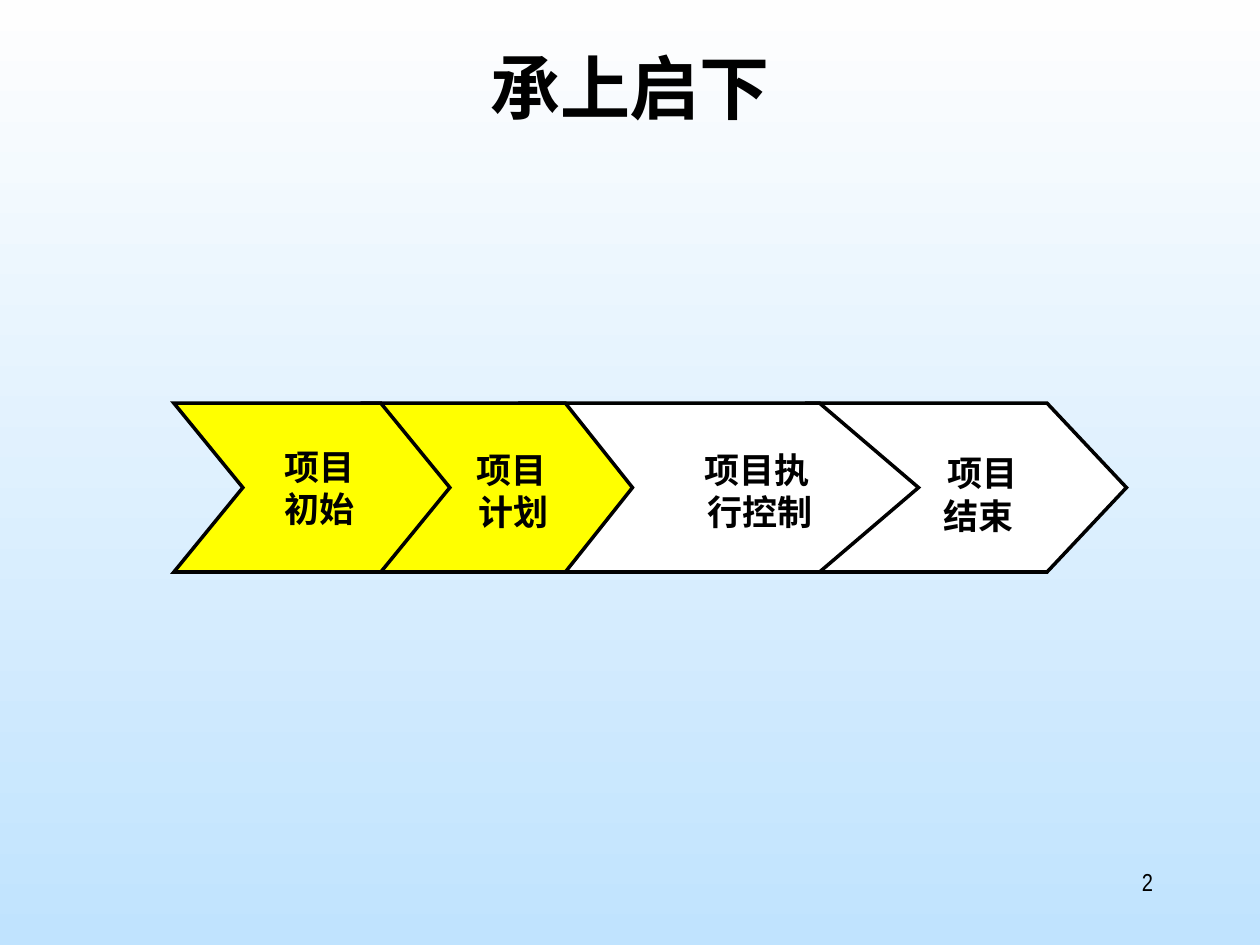
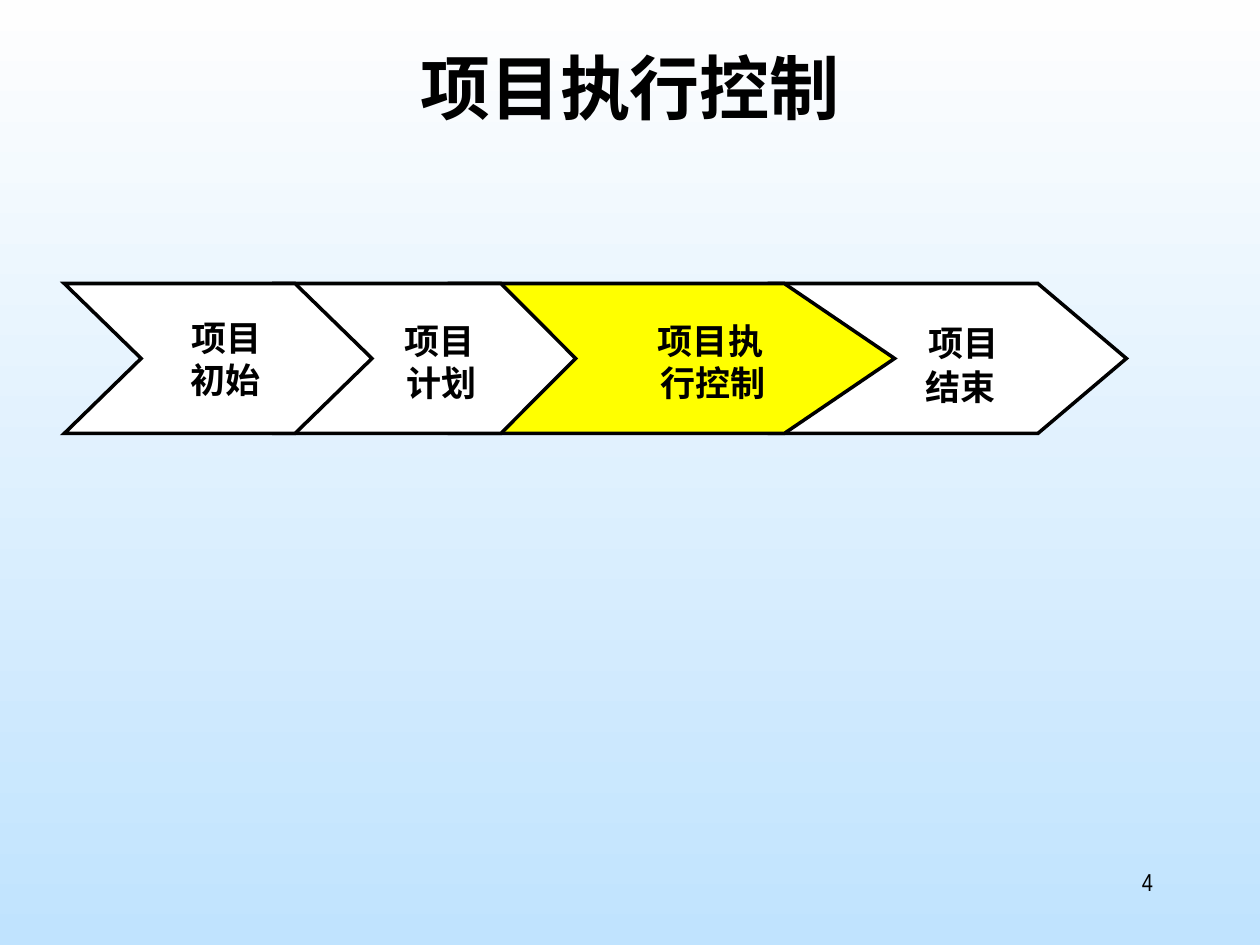
from lxml.etree import SubElement
from pptx import Presentation
from pptx.dml.color import RGBColor
from pptx.enum.shapes import MSO_SHAPE
from pptx.enum.text import MSO_ANCHOR, MSO_AUTO_SIZE, PP_ALIGN
from pptx.oxml.ns import qn
from pptx.util import Inches, Pt

BLACK, WHITE, YELLOW = "000000", "FFFFFF", "FFFF00"
SKY = ("FEFEFE", "C0E3FE")
BODY_FONT = "Arial Narrow"
CHAIN_LEFT, CHAIN_RIGHT = 1.38, 8.94
POINT_RATIO = 0.25

# name, left, width, lines with indent, extra top inset, gap before second line
STAGES = [
    ("初始", 1.38, 2.19, [("项目", 0.13), ("初始", 0.12)], 0, 0),
    ("计划", 2.89, 2.13, [("项目", 0.21), ("计划", 0.24)], 0.05, 0),
    ("执行控制", 4.15, 3.14, [("项目执", 0.58), ("行控制", 0.62)], 0.05, 0),
    ("结束", 6.42, 2.52, [("项目", 0.23), ("结束", 0.18)], 0.1, 1),
]


def color(value):
    return RGBColor.from_string(value)


class Deck:
    def __init__(self):
        self.presentation = Presentation()
        self.presentation.slide_width = Inches(10)
        self.presentation.slide_height = Inches(7.5)
        self.slide = None
        sky = self.presentation.slide_master.background.fill
        sky.gradient()
        sky.gradient_angle = 270
        for stop, shade in zip(sky.gradient_stops, SKY):
            stop.color.rgb = color(shade)

    def style(self, paragraph, size, bold=False, align=PP_ALIGN.CENTER, name=BODY_FONT):
        paragraph.alignment = align
        font = paragraph.font
        font.name, font.size, font.bold = name, Pt(size), bold
        font.color.rgb = color(BLACK)
        SubElement(font._element, qn("a:ea")).set("typeface", BODY_FONT)

    def add_slide(self, heading, number, heading_font=BODY_FONT):
        self.slide = self.presentation.slides.add_slide(self.presentation.slide_layouts[5])
        title = self.slide.shapes.title
        title.left, title.top = Inches(0.5), Inches(0.3)
        title.width, title.height = Inches(9), Inches(1.25)
        title.text = heading
        title.text_frame.auto_size = MSO_AUTO_SIZE.NONE
        title.text_frame.vertical_anchor = MSO_ANCHOR.TOP
        self.style(title.text_frame.paragraphs[0], 40, True, name=heading_font)
        self.add_page_number(number)

    def add_page_number(self, number):
        page = self.slide.shapes.add_textbox(
            Inches(7.17), Inches(6.83), Inches(2.08), Inches(0.5))
        page.text_frame.word_wrap = True
        page.text_frame.text = number
        self.style(page.text_frame.paragraphs[0], 14, align=PP_ALIGN.RIGHT)

    def add_stage(self, chain, left, top, width, height, lines, drop, gap, fill):
        stage = chain.shapes.add_shape(
            MSO_SHAPE.CHEVRON, Inches(left), Inches(top), Inches(width), Inches(height))
        stage.adjustments[0] = POINT_RATIO * width / height
        stage.shadow.inherit = False
        stage.fill.solid()
        stage.fill.fore_color.rgb = color(fill)
        stage.line.color.rgb = color(BLACK)
        stage.line.width = Pt(2)
        SubElement(stage.line._get_or_add_ln(), qn("a:miter")).set("lim", "800000")
        frame = stage.text_frame
        frame.word_wrap = True
        frame.vertical_anchor = MSO_ANCHOR.MIDDLE
        frame.margin_left = frame.margin_right = 0
        frame.margin_top = Inches(0.05 + drop)
        frame.text = "\n".join(text for text, _ in lines)
        for paragraph, (_, indent) in zip(frame.paragraphs, lines):
            self.style(paragraph, 20, True)
            paragraph._p.get_or_add_pPr().set("marL", str(Inches(indent)))
        frame.paragraphs[1].space_before = Pt(gap)

    def add_chain(self, start, top, height, highlighted):
        chain = self.slide.shapes.add_group_shape()
        scale = (CHAIN_RIGHT - start) / (CHAIN_RIGHT - CHAIN_LEFT)
        for name, left, width, lines, drop, gap in reversed(STAGES):
            self.add_stage(
                chain, start + (left - CHAIN_LEFT) * scale, top, width * scale, height,
                lines, drop, gap, YELLOW if name in highlighted else WHITE)


def main():
    deck = Deck()
    deck.add_slide("承上启下", "2", "Noto Sans CJK SC")
    deck.add_chain(1.38, 3.2, 1.34, ("初始", "计划"))
    deck.add_slide("项目执行控制", "4")
    deck.add_chain(0.51, 2.25, 1.19, ("执行控制",))
    deck.presentation.save("out.pptx")


if __name__ == "__main__":
    main()
